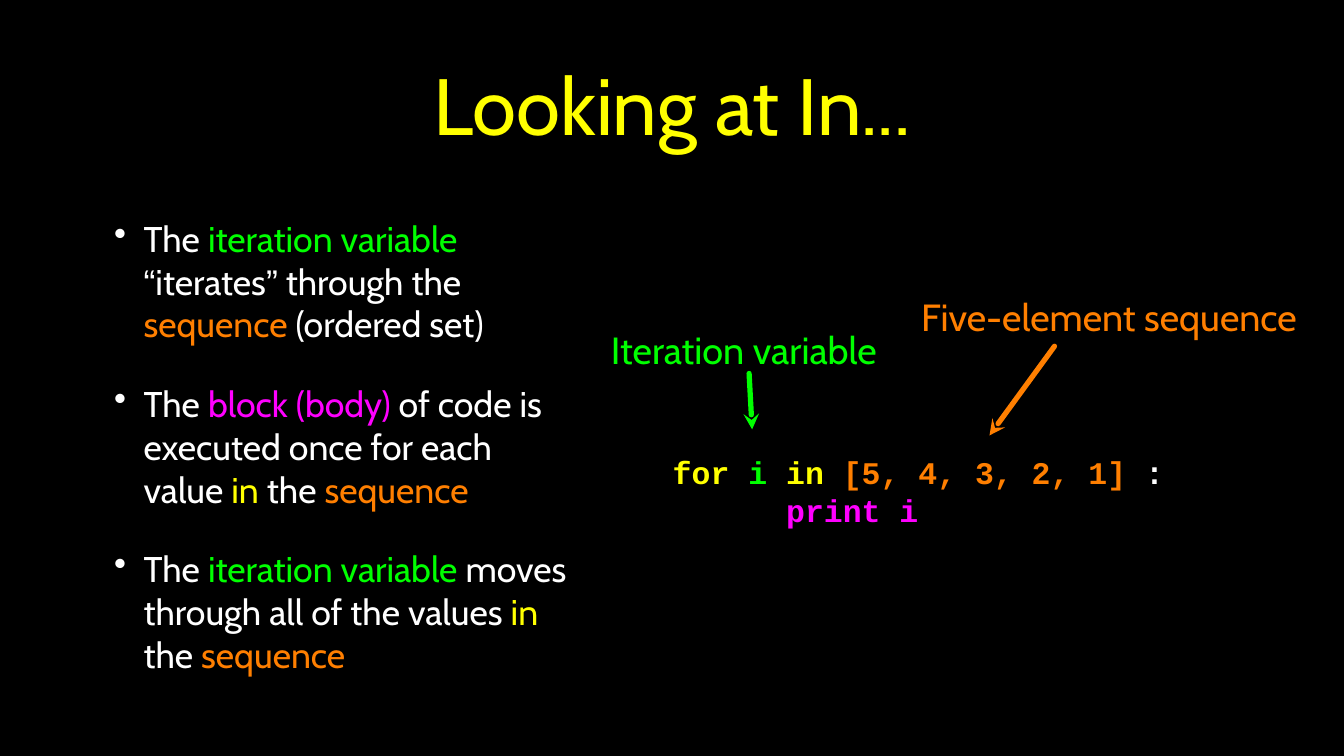
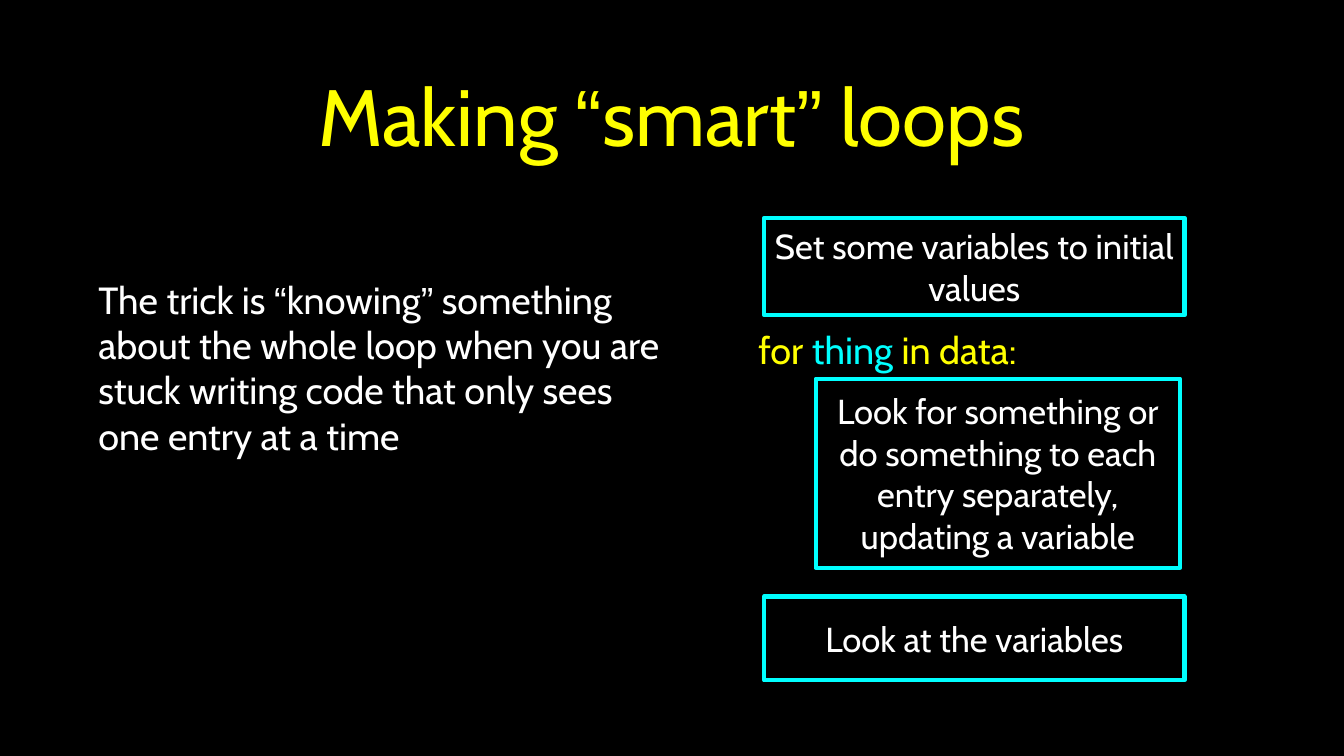
import dataclasses
import itertools

import lxml.etree
import pptx
import pptx.dml.color
import pptx.enum.shapes
import pptx.enum.text
import pptx.oxml.ns
import pptx.util

RGBColor = pptx.dml.color.RGBColor
BLACK = RGBColor(0x00, 0x00, 0x00)
WHITE = RGBColor(0xFF, 0xFF, 0xFF)
YELLOW = RGBColor(0xFF, 0xFF, 0x00)
GREEN = RGBColor(0x00, 0xFF, 0x00)
ORANGE = RGBColor(0xFF, 0x7F, 0x00)
MAGENTA = RGBColor(0xFF, 0x00, 0xFF)
CYAN = RGBColor(0x00, 0xFF, 0xFF)

TEXT_FONT = "Cabin"
QUOTE_FONT = "Arial"
CODE_FONT = "Courier New"
QUOTES = "“”"

COLUMNS, ROWS = 177.8, 100
CELL = 0.1
TEXT_INSET = 0.04
CODE_SIZE = 30
CODE_INDENT = 6 * 0.6 * CODE_SIZE

LEFT = pptx.enum.text.PP_ALIGN.LEFT
CENTER = pptx.enum.text.PP_ALIGN.CENTER


@dataclasses.dataclass
class Box:
    left: float
    top: float
    width: float
    height: float

    def area(self, left, top, width, height):
        return Box(self.left + left, self.top + top, width, height)

    def point(self, column, row):
        return cells(self.left + column), cells(self.top + row)

    def lengths(self):
        return [cells(n) for n in (self.left, self.top, self.width, self.height)]


def cells(count):
    return pptx.util.Inches(count * CELL)


def add_element(parent, tag, **attributes):
    return lxml.etree.SubElement(parent, pptx.oxml.ns.qn(tag), **attributes)


def add_spans(para, spans, size, font=TEXT_FONT, bold=False):
    for text, color in spans:
        for quoted, letters in itertools.groupby(text, lambda letter: letter in QUOTES):
            span = para.add_run()
            span.text = "".join(letters)
            span.font.name = QUOTE_FONT if quoted else font
            span.font.size = pptx.util.Pt(size)
            span.font.bold = bold
            span.font.color.rgb = color


def fill_text(shape, paras, size, align=LEFT, inset=0, wrap=True, **style):
    frame = shape.text_frame
    frame.word_wrap = wrap
    frame.vertical_anchor = pptx.enum.text.MSO_ANCHOR.MIDDLE
    frame.margin_left = frame.margin_right = pptx.util.Inches(inset)
    frame.margin_top = frame.margin_bottom = pptx.util.Inches(inset)
    for index, spans in enumerate(paras):
        para = frame.add_paragraph() if index else frame.paragraphs[0]
        para.alignment = align
        add_spans(para, spans, size, **style)
    return frame.paragraphs


def add_text(page, box, paras, size, **style):
    return fill_text(page.shapes.add_textbox(*box.lengths()), paras, size, **style)


def add_label(page, box, spans):
    add_text(page, box, [spans], 36, align=CENTER, wrap=False)


def add_title(page, box, text):
    add_text(page, box, [[(text, YELLOW)]], 76, align=CENTER, inset=TEXT_INSET)


def add_bullets(page, box, paras):
    for index, para in enumerate(add_text(page, box, paras, 34, inset=TEXT_INSET)):
        para.space_before = pptx.util.Pt(35 if index else 0)
        properties = para._p.get_or_add_pPr()
        properties.set("marL", str(pptx.util.Inches(0.82)))
        properties.set("indent", str(pptx.util.Inches(-0.39)))
        bullet_color = add_element(properties, "a:buClr")
        add_element(bullet_color, "a:srgbClr", val=str(WHITE))
        add_element(properties, "a:buChar", char="•")


def add_arrow(page, tip, tail, color):
    kind = pptx.enum.shapes.MSO_CONNECTOR.STRAIGHT
    arrow = page.shapes.add_connector(kind, *tip, *tail)
    arrow.line.color.rgb = color
    arrow.line.width = pptx.util.Pt(5)
    outline = arrow.line._get_or_add_ln()
    outline.set("cap", "rnd")
    add_element(outline, "a:headEnd", type="stealth")
    add_element(arrow._element.spPr, "a:effectLst")


def add_step(page, box, text):
    kind = pptx.enum.shapes.MSO_SHAPE.RECTANGLE
    step = page.shapes.add_shape(kind, *box.lengths())
    step.shadow.inherit = False
    step.fill.background()
    step.line.color.rgb = CYAN
    step.line.width = pptx.util.Pt(4)
    fill_text(step, [[(text, WHITE)]], 33, align=CENTER)


def add_annotated_code(page, box):
    code = [
        [("for ", YELLOW), ("i ", GREEN), ("in ", YELLOW),
         ("[5, 4, 3, 2, 1] ", ORANGE), (":", WHITE)],
        [("print i", MAGENTA)],
    ]
    paras = add_text(page, box.area(8.4, 19.1, 69.6, 14.6), code, CODE_SIZE,
                     font=CODE_FONT, bold=True)
    paras[1]._p.get_or_add_pPr().set("marL", str(pptx.util.Pt(CODE_INDENT)))
    add_label(page, box.area(0, 4.3, 35.6, 6.8), [("Iteration variable", GREEN)])
    add_label(page, box.area(40.5, 0, 51.2, 6.8), [("Five-element sequence", ORANGE)])
    add_arrow(page, box.point(18.9, 18.3), box.point(18.5, 10.9), GREEN)
    add_arrow(page, box.point(50.3, 19.1), box.point(58.9, 7.3), ORANGE)


def add_loop_recipe(page, box):
    add_step(page, box.area(0.9, 0, 55.6, 12.9), "Set some variables to initial values")
    add_step(page, box.area(7.7, 21.3, 48.2, 25),
             "Look for something or do something to each entry separately, "
             "updating a variable")
    add_label(page, box.area(0, 14, 34.4, 6.8),
              [("for ", YELLOW), ("thing", CYAN), (" in data:", YELLOW)])
    add_step(page, box.area(0.9, 50.1, 55.6, 11.1), "Look at the variables")


def add_page(deck):
    page = deck.slides.add_slide(deck.slide_layouts[6])
    page.background.fill.solid()
    page.background.fill.fore_color.rgb = BLACK
    return page


def add_in_page(deck, box):
    page = add_page(deck)
    add_title(page, box.area(12.7, 1.7, 152.4, 24.1), "Looking at In...")
    add_bullets(page, box.area(10.4, 27.8, 65.4, 62.4), [
        [("The ", WHITE), ("iteration variable ", GREEN),
         ("“iterates” through the ", WHITE), ("sequence ", ORANGE),
         ("(ordered set)", WHITE)],
        [("The ", WHITE), ("block (body)", MAGENTA),
         (" of code is executed once for each value ", WHITE), ("in", YELLOW),
         (" the ", WHITE), ("sequence", ORANGE)],
        [("The ", WHITE), ("iteration variable ", GREEN),
         ("moves through all of the values ", WHITE), ("in", YELLOW),
         (" the ", WHITE), ("sequence", ORANGE)],
    ])
    add_annotated_code(page, box.area(80.6, 38.5, 91.7, 33.7))


def add_smart_loops_page(deck, box):
    page = add_page(deck)
    add_title(page, box.area(12.6, 2.6, 152.4, 25.1), "Making “smart” loops")
    trick = ("The trick is “knowing” something about the whole loop when you are "
             "stuck writing code that only sees one entry at a time")
    add_text(page, box.area(12.6, 30.2, 75.9, 36.7), [[(trick, WHITE)]], 36,
             inset=TEXT_INSET)
    add_loop_recipe(page, box.area(100.2, 28.8, 56.5, 61.2))


def main():
    deck = pptx.Presentation()
    deck.slide_width, deck.slide_height = cells(COLUMNS), cells(ROWS)
    slide_box = Box(0, 0, COLUMNS, ROWS)
    add_in_page(deck, slide_box)
    add_smart_loops_page(deck, slide_box)
    deck.save("out.pptx")


if __name__ == "__main__":
    main()
